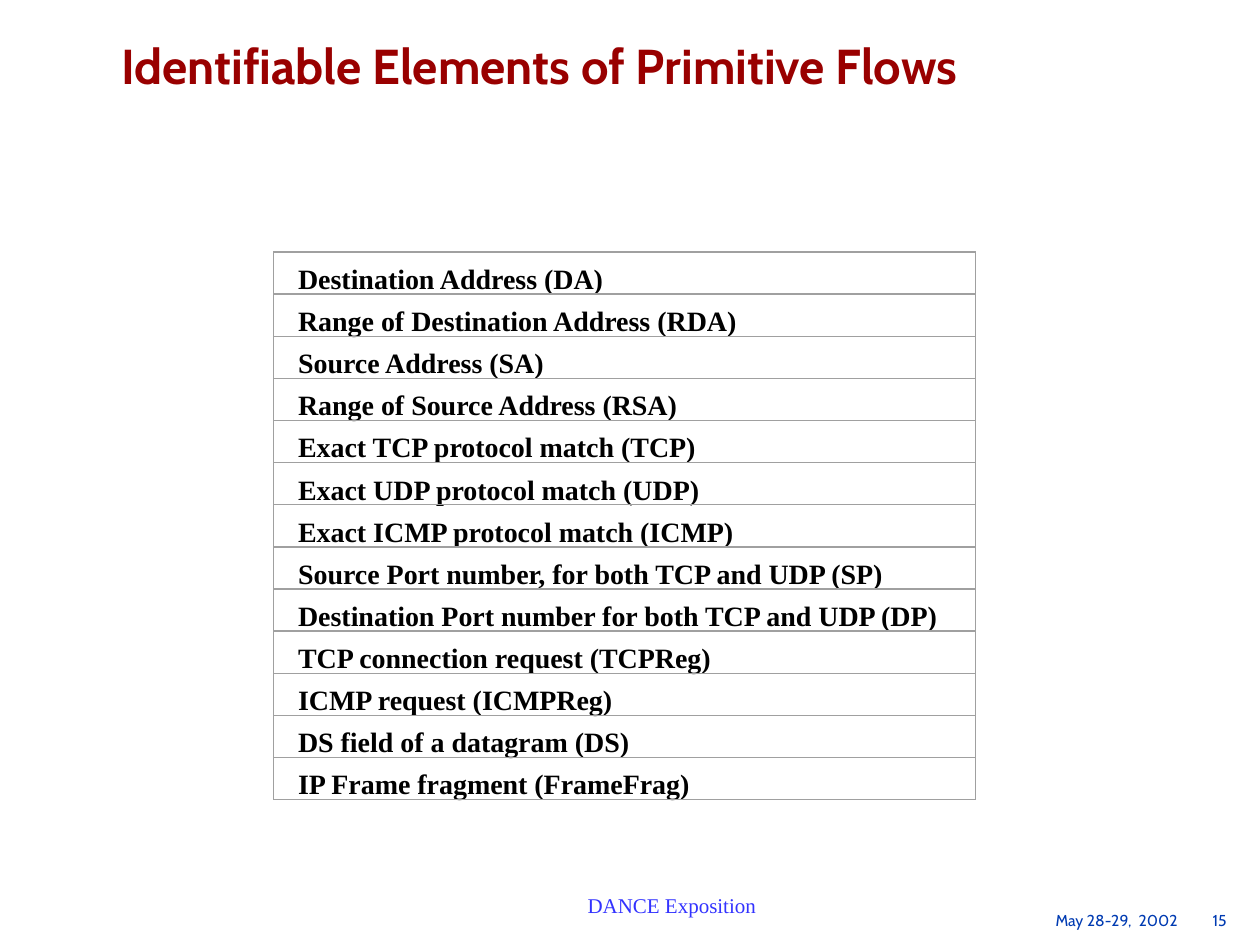
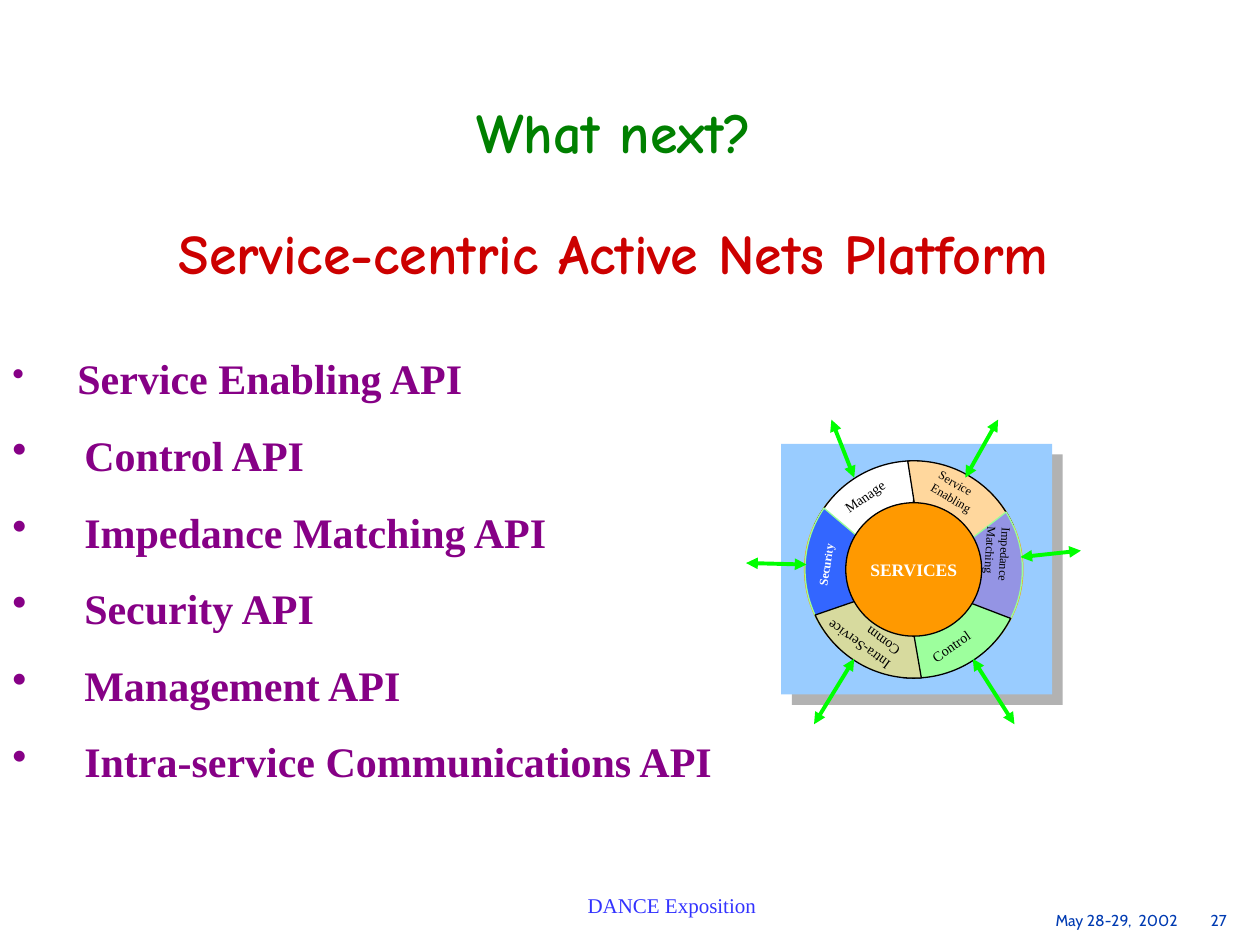
from math import cos, radians, sin, tan

from lxml import etree
from pptx import Presentation
from pptx import util as u
from pptx.dml.color import RGBColor
from pptx.enum import shapes, text
from pptx.oxml import ns

COLORS = {
    "title": "990000", "question": "008000", "platform": "CC0000",
    "date": "003BB2", "event": "3333FF", "bullet": "860086",
    "grid": "A0A0A0", "black": "000000", "white": "FFFFFF",
    "backdrop": "99CCFF", "orange": "FF9900", "arrow": "00FF00",
    "shadow": "B2B2B2", "peach": "FFD79D", "violet": "9494E4",
    "green": "9DFF9D", "blue": "3366FF", "olive": "D7DA9E",
    "mint": "99FF99",
}
SERIF, SANS, COMIC = "Times New Roman", "Cabin", "Comic Neue"
EVENT, DATE = "DANCE Exposition", "May 28-29,  2002"

FLOW_TITLE = "Identifiable Elements of Primitive Flows"
FLOW_ELEMENTS = [
    "Destination Address (DA)",
    "Range of Destination Address (RDA)",
    "Source Address (SA)",
    "Range of Source Address (RSA)",
    "Exact TCP protocol match (TCP)",
    "Exact UDP protocol match (UDP)",
    "Exact ICMP protocol match (ICMP)",
    "Source Port number, for both TCP and UDP (SP)",
    "Destination Port number for both TCP and UDP (DP)",
    "TCP connection request (TCPReg)",
    "ICMP request (ICMPReg)",
    "DS field of a datagram (DS)",
    "IP Frame fragment (FrameFrag)",
]
GRID = (5.51, 5.08, 14.16, 11.04)

NEXT_TITLE = [("What next?", "question"),
              ("Service-centric Active Nets Platform", "platform")]
APIS = ["Service Enabling API", "Control API", "Impedance Matching API",
        "Security API", "Management API", "Intra-service Communications API"]

HUB = (18.42, 11.48)
OUTER, INNER = (2.19, 34.6), (1.26, 30.3)
SECTORS = [(-31.4, "white", "black"), (31.4, "peach", "black"),
           (92.75, "violet", "mint"), (151.4, "green", "black"),
           (269.8, "blue", "mint"), (210.6, "olive", "black")]
LABELS = [
    (["Manage"], (16.71, 9.65, 1.6, 0.61), 325, 8),
    (["Service", "Enabling"], (18.52, 9.65, 1.6, 0.71), 30.4, 7),
    (["Control"], (18.47, 12.65, 1.63, 0.61), 325, 8),
    (["Impedance Matching"], (18.97, 11.07, 2.24, 0.86), 93.5, 7),
    (["Intra-Service Comm"], (15.7, 12.17, 2.77, 0.94), 216, 8),
]
SECURITY = [("Secur", 7), ("it", 6), ("y", 7)]
ARROWS = [
    (20.57, 11.23, 21.79, 11.1), (19.46, 9.63, 20.12, 8.46),
    (19.61, 13.28, 20.45, 14.6), (17.22, 13.28, 16.41, 14.6),
    (16.26, 11.38, 15.04, 11.35), (17.22, 9.63, 16.76, 8.46),
]


def cm(values):
    return [u.Cm(v) for v in values]


def rgb(name):
    return RGBColor.from_string(COLORS[name])


def add_xml(parent, tag, **attrs):
    return etree.SubElement(parent, ns.qn(tag), attrs)


def style(p, face, size, color, bold=False):
    p.font.name, p.font.size, p.font.bold = face, u.Pt(size), bold
    p.font.color.rgb = rgb(color)


def add_text(s, box, lines, inset=(0.25, 0.13)):
    sp = s.shapes.add_textbox(*cm(box))
    tf = sp.text_frame
    tf.word_wrap = True
    tf.auto_size = text.MSO_AUTO_SIZE.SHAPE_TO_FIT_TEXT
    tf.margin_left = tf.margin_right = u.Cm(inset[0])
    tf.margin_top = tf.margin_bottom = u.Cm(inset[1])
    tf.text = "\n".join(lines)
    return sp, tf.paragraphs


def paint(sp, fill=None, line=None, width=0.75):
    sp.shadow.inherit = False
    if fill:
        sp.fill.solid()
        sp.fill.fore_color.rgb = rgb(fill)
    else:
        sp.fill.background()
    if line:
        sp.line.color.rgb = rgb(line)
        sp.line.width = u.Pt(width)
    else:
        sp.line.fill.background()
    return sp


def add_rect(s, box):
    return s.shapes.add_shape(shapes.MSO_SHAPE.RECTANGLE, *cm(box))


def add_slide(prs, number):
    s = prs.slides.add_slide(prs.slide_layouts[6])
    _, (p,) = add_text(s, (17.09, 18.36, 7.87, 0.43),
                       [f"\t{DATE}\t{number}"], (0.23, 0))
    tabs = add_xml(p._p.get_or_add_pPr(), "a:tabLst")
    for stop in (6.42, 7.41):
        add_xml(tabs, "a:tab", pos=str(u.Cm(stop)), algn="r")
    style(p, SANS, 9, "date")
    _, (p,) = add_text(s, (7.83, 18, 11.43, 0.51), [EVENT], (0.23, 0))
    p.alignment = text.PP_ALIGN.CENTER
    style(p, SERIF, 12, "event")
    return s


def add_title(s, box, lines, face, size, align):
    _, ps = add_text(s, box, [line for line, _ in lines], (0.13, 0))
    for i, (p, (_, color)) in enumerate(zip(ps, lines)):
        p.alignment = align
        p.line_spacing = 0.9
        if i:
            p.space_before = u.Pt(34.5)
        style(p, face, size, color, True)


def add_flow_grid(s):
    left, top, width, height = GRID
    row_h = height / len(FLOW_ELEMENTS)
    for i, name in enumerate(FLOW_ELEMENTS):
        row = paint(add_rect(s, (left, top + i * row_h, width, row_h)),
                    line="grid", width=0)
        tf = row.text_frame
        tf.word_wrap = True
        tf.vertical_anchor = text.MSO_ANCHOR.TOP
        tf.margin_left, tf.margin_right = cm((0.5, 0.25))
        tf.margin_top, tf.margin_bottom = cm((0.19, 0))
        tf.text = name
        tf.paragraphs[0].alignment = text.PP_ALIGN.LEFT
        style(tf.paragraphs[0], SERIF, 16, "black", True)
    paint(add_rect(s, GRID), line="grid")


def add_bullets(s):
    _, ps = add_text(s, (0, 6.98, 14.81, 9), APIS)
    for i, p in enumerate(ps):
        indent = u.Cm(1.45 if i else 1.31)
        pPr = p._p.get_or_add_pPr()
        pPr.set("marL", str(indent))
        pPr.set("indent", str(-indent))
        add_xml(add_xml(pPr, "a:buClr"), "a:srgbClr", val=COLORS["bullet"])
        if i:
            p.space_before = u.Pt(15)
        else:
            add_xml(pPr, "a:buSzPct", val="83000")
        add_xml(pPr, "a:buChar", char="•")
        style(p, SERIF, 24, "bullet", True)


def arc(middle, radius, half):
    reach = 4 / 3 * tan(radians(half) / 4)
    points = []
    for angle in (middle - half, middle, middle + half):
        a = radians(angle)
        x, y = HUB[0] + radius * sin(a), HUB[1] - radius * cos(a)
        dx, dy = reach * radius * cos(a), reach * radius * sin(a)
        points += [(x - dx, y - dy), (x, y), (x + dx, y + dy)]
    return [cm(point) for point in points[1:-1]]


def add_sector(s, middle):
    points = arc(middle, *OUTER) + arc(middle, *INNER)[::-1]
    fb = s.shapes.build_freeform(*points[0])
    fb.add_line_segments(points[1:], close=True)
    sp = fb.convert_to_shape()
    lines = list(sp._element.iter(ns.qn("a:lnTo")))
    for start in (0, 3, 7, 10):
        curve = etree.Element(ns.qn("a:cubicBezTo"))
        lines[start].addprevious(curve)
        for line in lines[start:start + 3]:
            curve.append(line[0])
            line.getparent().remove(line)
    return sp


def add_disc(s, w, h):
    box = (HUB[0] - w / 2, HUB[1] - h / 2, w, h)
    return s.shapes.add_shape(shapes.MSO_SHAPE.OVAL, *cm(box))


def add_wheel(s):
    sp = paint(add_rect(s, (15.75, 8.95, 5.46, 5.05)), "backdrop")
    effects = sp._element.spPr.find(ns.qn("a:effectLst"))
    shadow = add_xml(effects, "a:outerShdw", dist=str(u.Pt(8.5)), dir="2700000",
                     algn="ctr", rotWithShape="0")
    add_xml(shadow, "a:srgbClr", val=COLORS["shadow"])
    paint(add_disc(s, 4.32, 4.27), "white", "orange", 3)

    for middle, fill, line in SECTORS:
        paint(add_sector(s, middle), fill, line)

    tf = paint(add_disc(s, 2.74, 2.69), "orange", "black").text_frame
    tf.word_wrap = False
    tf.vertical_anchor = text.MSO_ANCHOR.MIDDLE
    tf.text = "SERVICES"
    tf.paragraphs[0].alignment = text.PP_ALIGN.CENTER
    style(tf.paragraphs[0], SERIF, 10, "white", True)

    for lines, box, angle, size in LABELS:
        sp, ps = add_text(s, box, lines)
        sp.rotation = angle
        for i, p in enumerate(ps):
            if len(ps) > 1:
                p.line_spacing = 0.5
            if i:
                p.space_before = u.Pt(4.4)
            style(p, SERIF, size, "black")

    sp, (p,) = add_text(s, (15.88, 11, 1.57, 0.56), [""])
    sp.rotation = 278.8
    for part, size in SECURITY:
        r = p.add_run()
        r.text = part
        style(r, SERIF, size, "white", True)

    for ends in ARROWS:
        c = s.shapes.add_connector(shapes.MSO_CONNECTOR.STRAIGHT, *cm(ends))
        c.line.color.rgb = rgb("arrow")
        c.line.width = u.Pt(2.25)
        ln = c.line._get_or_add_ln()
        for end in ("a:headEnd", "a:tailEnd"):
            add_xml(ln, end, type="triangle")
        add_xml(c._element.spPr, "a:effectLst")


def main():
    prs = Presentation()
    prs.slide_width, prs.slide_height = cm((25.4, 19.05))

    s = add_slide(prs, 15)
    add_title(s, (2.32, 0.86, 22.66, 2.44), [(FLOW_TITLE, "title")],
              SANS, 28, text.PP_ALIGN.LEFT)
    add_flow_grid(s)

    s = add_slide(prs, 27)
    add_title(s, (1.05, 2.12, 22.66, 3.66), NEXT_TITLE,
              COMIC, 32, text.PP_ALIGN.CENTER)
    add_wheel(s)
    add_bullets(s)

    prs.save("out.pptx")


if __name__ == "__main__":
    main()
